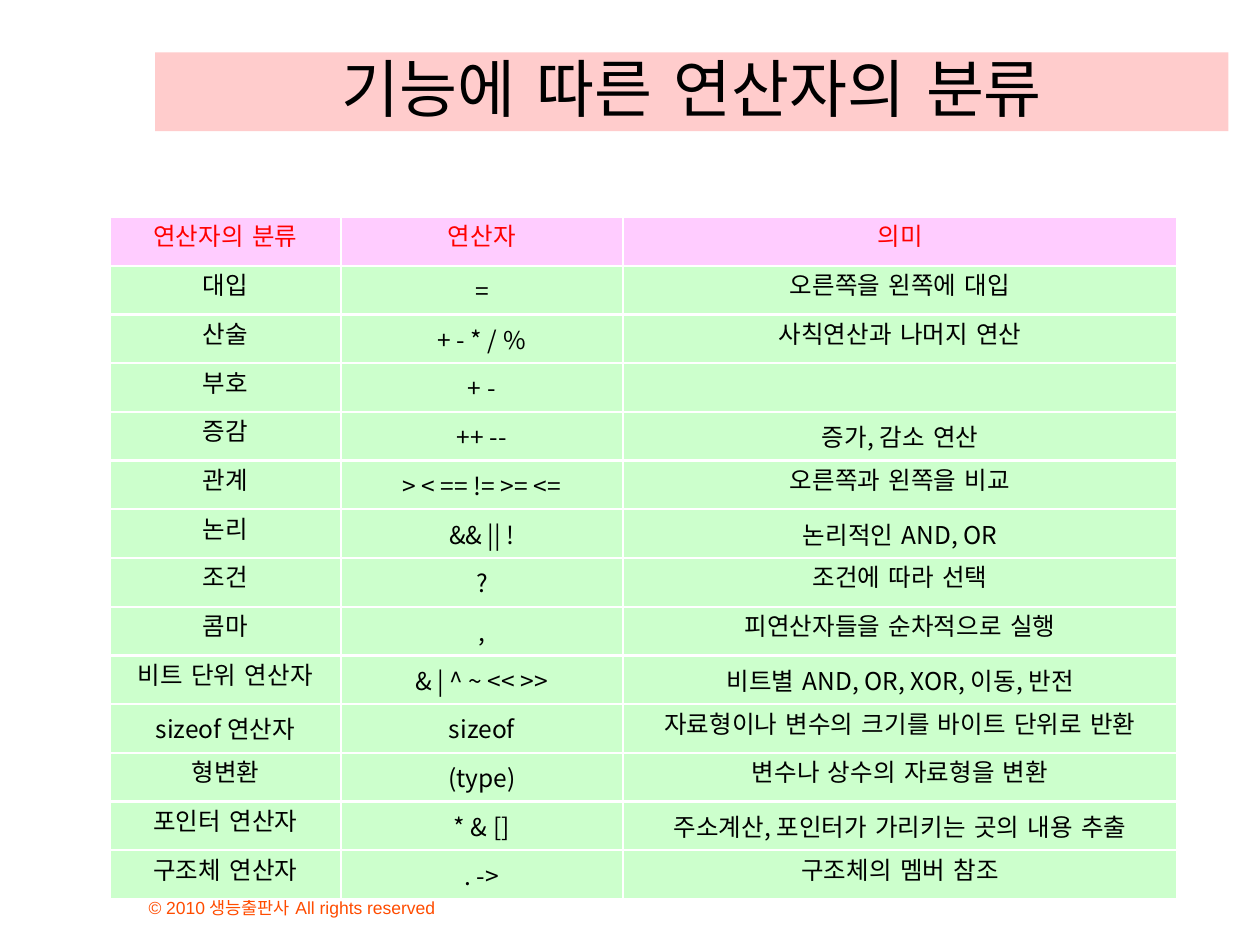
from lxml.etree import SubElement
from pptx import Presentation
from pptx.dml.color import RGBColor
from pptx.enum.text import MSO_ANCHOR, PP_ALIGN
from pptx.oxml.ns import qn
from pptx.util import Pt

BODY_FONT = "Noto Sans CJK KR"
HEADING_FONT = "Comic Neue"
COLUMN_WIDTHS = [131.8, 161.3, 316.8]
ROW_HEIGHT = 27.65
ROWS = [
    ("연산자의 분류", "연산자", "의미"),
    ("대입", "=", "오른쪽을 왼쪽에 대입"),
    ("산술", "+ - * / %", "사칙연산과 나머지 연산"),
    ("부호", "+ -", ""),
    ("증감", "++ --", "증가, 감소 연산"),
    ("관계", "> < == != >= <=", "오른쪽과 왼쪽을 비교"),
    ("논리", "&& || !", "논리적인 AND, OR"),
    ("조건", "?", "조건에 따라 선택"),
    ("콤마", ",", "피연산자들을 순차적으로 실행"),
    ("비트 단위 연산자", "& | ^ ~ << >>", "비트별 AND, OR, XOR, 이동, 반전"),
    ("sizeof 연산자", "sizeof", "자료형이나 변수의 크기를 바이트 단위로 반환"),
    ("형변환", "(type)", "변수나 상수의 자료형을 변환"),
    ("포인터 연산자", "* & []", "주소계산, 포인터가 가리키는 곳의 내용 추출"),
    ("구조체 연산자", ". ->", "구조체의 멤버 참조"),
]


def color(value):
    return RGBColor.from_string(value)


def paint(item, value):
    item.fill.solid()
    item.fill.fore_color.rgb = color(value)


def write(frame, text, *, size, font, ink="000000", align=PP_ALIGN.CENTER):
    """Put one formatted line of text into a frame."""
    paragraph = frame.paragraphs[0]
    paragraph.alignment = align
    if not text:
        # An empty line keeps the size of its neighbours
        SubElement(paragraph._p, qn("a:endParaRPr"), sz=str(size * 100))
        return
    span = paragraph.add_run()
    span.text = text
    span.font.size = Pt(size)
    span.font.name = font
    span.font.bold = False
    span.font.color.rgb = color(ink)
    # Hangul takes its own typeface
    SubElement(span.font._element, qn("a:ea"), typeface=HEADING_FONT)


def add_borders(cell, ink, width):
    properties = cell._tc.get_or_add_tcPr()
    for index, side in enumerate(("lnL", "lnR", "lnT", "lnB")):
        line = properties.makeelement(qn(f"a:{side}"), {"w": str(Pt(width))})
        fill = SubElement(line, qn("a:solidFill"))
        SubElement(fill, qn("a:srgbClr"), val=ink)
        # Borders come before the cell's fill
        properties.insert(index, line)


def add_title(page, text):
    title = page.shapes.title
    title.left, title.top = Pt(88.6), Pt(30)
    title.width, title.height = Pt(613.4), Pt(45)
    paint(title, "FFCCCC")
    frame = title.text_frame
    frame.vertical_anchor = MSO_ANCHOR.BOTTOM
    frame.margin_top, frame.margin_bottom = 0, Pt(3.6)
    write(frame, text, size=36, font=HEADING_FONT)


def add_operator_table(page):
    table = page.shapes.add_table(
        len(ROWS), len(COLUMN_WIDTHS), Pt(62.9), Pt(124),
        Pt(sum(COLUMN_WIDTHS)), Pt(ROW_HEIGHT * len(ROWS))).table
    for column, width in zip(table.columns, COLUMN_WIDTHS):
        column.width = Pt(width)
    for row_index, texts in enumerate(ROWS):
        table.rows[row_index].height = Pt(ROW_HEIGHT)
        header = row_index == 0
        for column_index, text in enumerate(texts):
            cell = table.cell(row_index, column_index)
            cell.vertical_anchor = MSO_ANCHOR.MIDDLE
            cell.margin_bottom = Pt(7.4)
            paint(cell, "FFCCFF" if header else "CCFFCC")
            add_borders(cell, "FFFFFF", 1.5)
            write(cell.text_frame, text, size=14,
                  font=HEADING_FONT if header else BODY_FONT,
                  ink="FF0000" if header else "000000")


def add_copyright(page, text):
    box = page.shapes.add_textbox(Pt(77.8), Pt(498.2), Pt(275.8), Pt(30.2))
    frame = box.text_frame
    frame.word_wrap = True
    frame.vertical_anchor = MSO_ANCHOR.BOTTOM
    write(frame, text, size=10, font="Arial", ink="FF4C00", align=PP_ALIGN.LEFT)


def main():
    deck = Presentation()
    deck.slide_width, deck.slide_height = Pt(720), Pt(540)
    page = deck.slides.add_slide(deck.slide_layouts[5])
    # Copyright line, title bar and table, from back to front
    add_copyright(page, "© 2010 생능출판사 All rights reserved")
    add_title(page, "기능에 따른 연산자의 분류")
    add_operator_table(page)
    deck.save("out.pptx")


if __name__ == "__main__":
    main()
